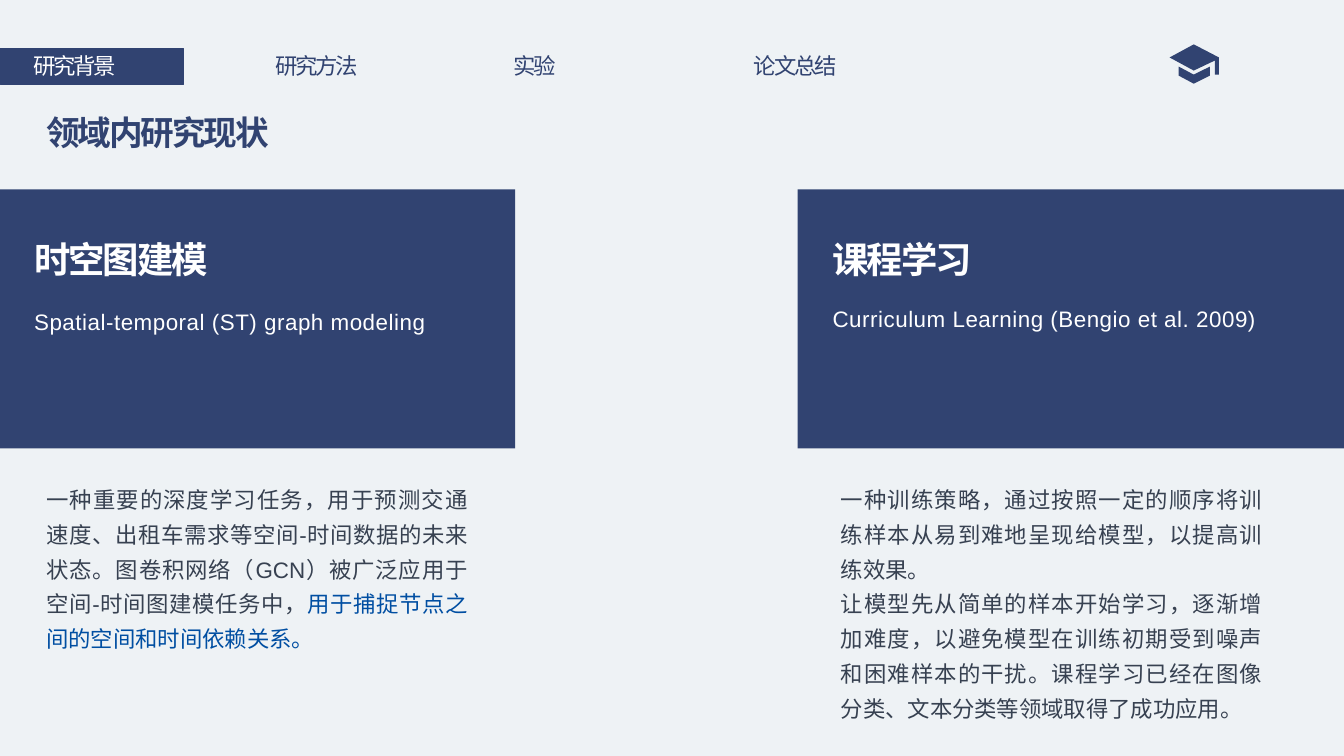
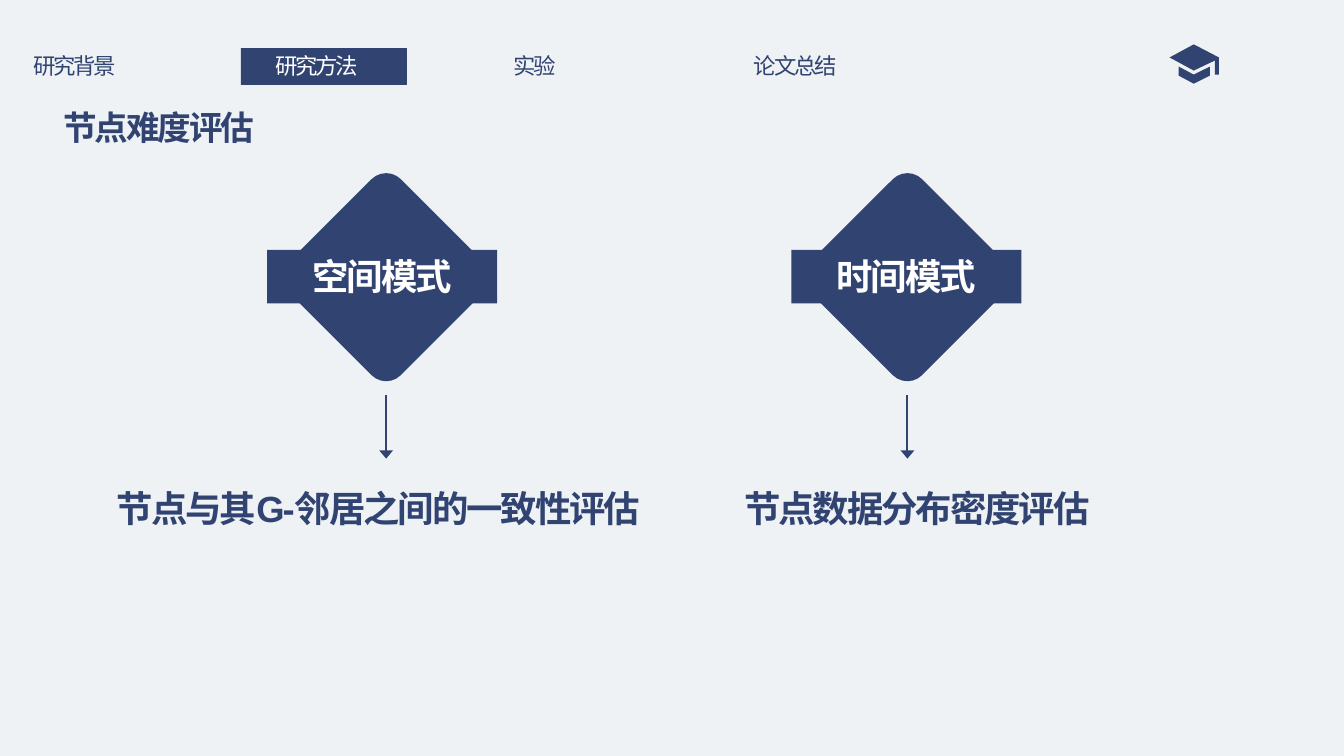
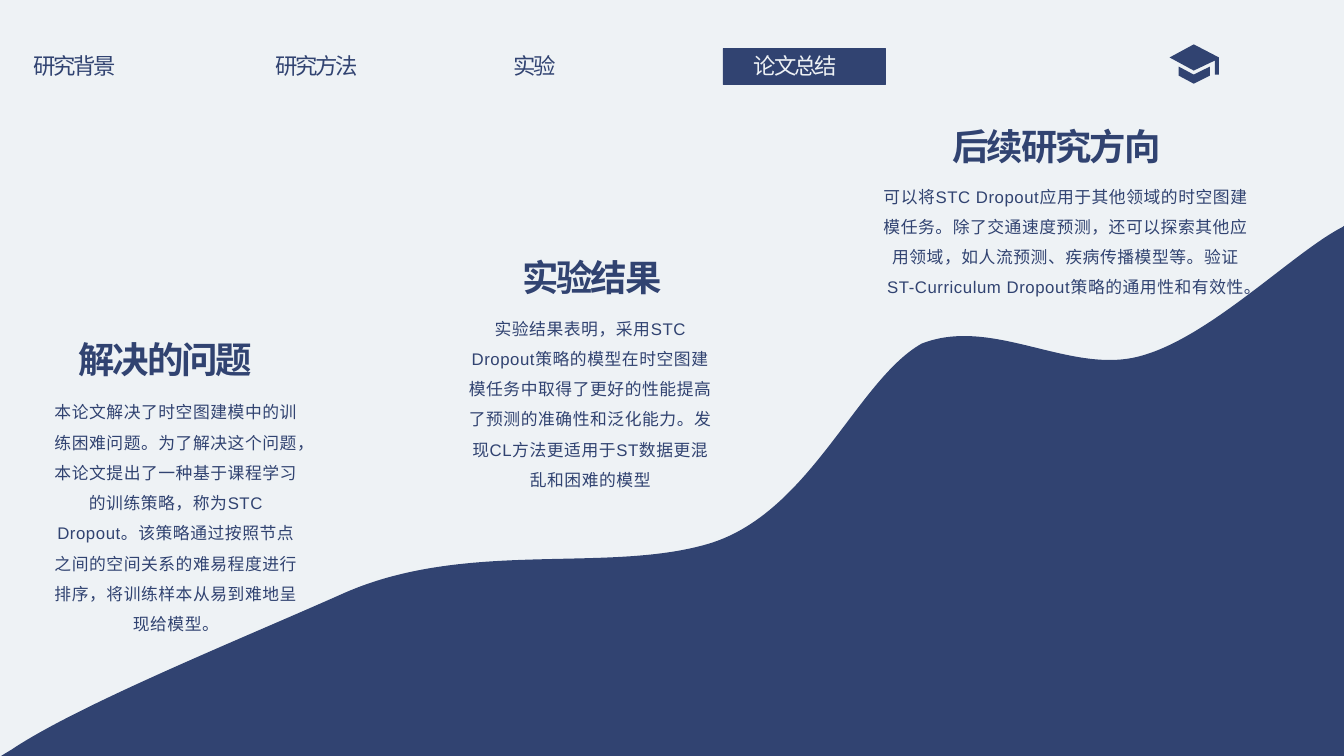
from dataclasses import dataclass, field
from typing import NamedTuple

from lxml.etree import SubElement
from pptx import Presentation
from pptx.dml.color import RGBColor
from pptx.enum.shapes import MSO_CONNECTOR, MSO_SHAPE
from pptx.enum.text import MSO_AUTO_SIZE, PP_ALIGN
from pptx.oxml.ns import qn
from pptx.shapes.autoshape import Shape
from pptx.slide import Slide
from pptx.text.text import TextFrame, _Paragraph
from pptx.util import Inches, Pt

NAVY = "314371"
PALE = "EEF2F5"
WHITE = "FFFFFF"
SLATE = "374151"
BLUE = "004EA2"

Point = tuple[float, float]


class Box(NamedTuple):
    left: float
    top: float
    width: float
    height: float


@dataclass(frozen=True)
class Style:
    font: dict
    para: dict = field(default_factory=dict)
    space: float = 0


@dataclass(frozen=True)
class Tab:
    name: str
    text: float
    left: float
    width: float


@dataclass(frozen=True)
class Panel:
    box: Box
    left: float
    top: float
    head: str
    sub: str
    body: Box
    paras: tuple[str, ...]


@dataclass(frozen=True)
class Mode:
    axis: float
    band: float
    name: str
    goal: str
    box: Box


@dataclass(frozen=True)
class Note:
    head: str
    left: float
    top: float
    body: Box
    text: str


def font(size: float, bold: bool = False, name: str = "Arial") -> dict:
    return {"size": Pt(size), "bold": bold, "name": name}


MENU = Style(font(16), space=-1.5)
TITLE = Style(font(24, True), space=-1.5)
HEAD = Style(font(26, True), space=-1.5)
MID = Style(HEAD.font, {"alignment": PP_ALIGN.CENTER}, -1.5)
SUB = Style(font(16), {"line_spacing": 1.5}, 0.4)
BODY = Style(font(16), {"alignment": PP_ALIGN.JUSTIFY, "line_spacing": 1.3})
LINK = Style(font(16, name="Lato"))
SMALL = Style(font(12), {"alignment": PP_ALIGN.CENTER, "line_spacing": 1.5}, 0.4)
FRAME = {"word_wrap": True, "auto_size": MSO_AUTO_SIZE.SHAPE_TO_FIT_TEXT}

TABS = (
    Tab("研究背景", 0.23, 0, 1.82),
    Tab("研究方法", 2.63, 2.39, 1.64),
    Tab("实验", 4.99, 4.59, 1.63),
    Tab("论文总结", 7.38, 7.17, 1.61),
)

CAP = (
    ((11.69, 0.66), (11.84, 0.74), (12, 0.66), (12, 0.75), (11.84, 0.83), (11.69, 0.75)),
    ((11.84, 0.44), (12.09, 0.57), (12.09, 0.74), (12.05, 0.74), (12.05, 0.6),
     (11.84, 0.7), (11.6, 0.57)),
)

EDGE = ((13.33, 2.24), (13.33, 7.5), (0.01, 7.5), (0.11, 7.44))
HILL = (
    ((0.78, 6.99), (2.39, 6.34), (3.4, 5.89)),
    ((4.61, 5.35), (6, 5.69), (7.01, 5.4)),
    ((8.03, 5.11), (8.49, 3.78), (9.14, 3.41)),
    ((9.85, 3.13), (10.62, 3.73), (11.32, 3.53)),
    ((12.01, 3.34), (12.83, 2.5), (13.32, 2.25)),
)

PANELS = (
    Panel(
        Box(0, 1.88, 5.11, 2.57), 0.24, 2.87,
        "时空图建模", "Spatial-temporal (ST) graph modeling",
        Box(0.36, 4.69, 4.38, 1.82),
        ("一种重要的深度学习任务，用于预测交通速度、出租车需求等空间-时间数据的未来状态。"
         "图卷积网络（GCN）被广泛应用于空间-时间图建模任务中，",),
    ),
    Panel(
        Box(7.91, 1.88, 5.42, 2.57), 8.16, 2.84,
        "课程学习", "Curriculum Learning (Bengio et al. 2009)",
        Box(8.24, 4.69, 4.38, 2.52),
        ("一种训练策略，通过按照一定的顺序将训练样本从易到难地呈现给模型，以提高训练效果。",
         "让模型先从简单的样本开始学习，逐渐增加难度，以避免模型在训练初期受到噪声和困难样本的干扰。"
         "课程学习已经在图像分类、文本分类等领域取得了成功应用。"),
    ),
)

MODES = (
    Mode(3.83, 2.65, "空间模式", "节点与其G-邻居之间的一致性评估",
         Box(0.99, 4.77, 5.53, 0.98)),
    Mode(9, 7.85, "时间模式", "节点数据分布密度评估",
         Box(6.52, 4.77, 5.15, 0.54)),
)

NOTES = (
    Note("解决的问题", 0.24, 3.3, Box(0.42, 3.84, 2.65, 2.19),
         "本论文解决了时空图建模中的训练困难问题。为了解决这个问题，本论文提出了一种基于课程学习的训练策略，"
         "称为STC Dropout。该策略通过按照节点之间的空间关系的难易程度进行排序，将训练样本从易到难地呈现给模型。"),
    Note("实验结果", 4.47, 2.48, Box(4.53, 3.01, 2.65, 1.88),
         "实验结果表明，采用STC Dropout策略的模型在时空图建模任务中取得了更好的性能提高了预测的准确性和泛化能力。"
         "发现CL方法更适用于ST数据更混乱和困难的模型"),
    Note("后续研究方向", 9.08, 1.18, Box(8.63, 1.7, 3.88, 1.28),
         "可以将STC Dropout应用于其他领域的时空图建模任务。除了交通速度预测，还可以探索其他应用领域，"
         "如人流预测、疾病传播模型等。验证ST-Curriculum Dropout策略的通用性和有效性。"),
)


def paint(fill, color: str) -> None:
    fill.solid()
    fill.fore_color.rgb = RGBColor.from_string(color)


def apply(item, values: dict) -> None:
    for key, value in values.items():
        setattr(item, key, value)


def finish(shape: Shape, edge: float = 0) -> Shape:
    shape.shadow.inherit = False
    paint(shape.fill, NAVY)
    if edge:
        paint(shape.line.fill, NAVY)
        shape.line.width = Pt(edge)
    else:
        shape.line.fill.background()
    return shape


def block(slide: Slide, box: Box, kind=MSO_SHAPE.RECTANGLE, edge: float = 0) -> Shape:
    return finish(slide.shapes.add_shape(kind, *map(Inches, box)), edge)


def put(para: _Paragraph, text: str, style: Style, ink: str) -> None:
    run = para.add_run()
    run.text = text
    apply(run.font, style.font)
    paint(run.font.fill, ink)
    if style.space:
        run._r.get_or_add_rPr().set("spc", str(round(style.space * 100)))


def write(slide: Slide, box: Box, style: Style, ink: str, *texts: str) -> TextFrame:
    frame = slide.shapes.add_textbox(*map(Inches, box)).text_frame
    apply(frame, FRAME)
    for index, text in enumerate(texts):
        para = frame.add_paragraph() if index else frame.paragraphs[0]
        apply(para, style.para)
        put(para, text, style, ink)
    return frame


def outline(slide: Slide, *loops: tuple[Point, ...]) -> Shape:
    paths = [[(Inches(x), Inches(y)) for x, y in loop] for loop in loops]
    pen = slide.shapes.build_freeform(*paths[0][0], scale=1.0)
    for index, points in enumerate(paths):
        if index:
            pen.move_to(*points[0])
        pen.add_line_segments(points[1:], close=True)
    return finish(pen.convert_to_shape())


def ridge(slide: Slide) -> None:
    shape = outline(slide, EDGE + tuple(curve[-1] for curve in HILL))
    legs = list(shape._element.iter(qn("a:lnTo")))[len(EDGE) - 1:]
    for leg, curve in zip(legs, HILL):
        leg.tag = qn("a:cubicBezTo")
        for index, (x, y) in enumerate(curve[:2]):
            knot = SubElement(leg, qn("a:pt"))
            knot.set("x", str(Inches(x) - shape.left))
            knot.set("y", str(Inches(y) - shape.top))
            leg.insert(index, knot)


def arrow(slide: Slide, x: float, top: float, base: float) -> None:
    line = slide.shapes.add_connector(
        MSO_CONNECTOR.STRAIGHT, Inches(x), Inches(top), Inches(x), Inches(base))
    paint(line.line.fill, NAVY)
    line.line.width = Pt(1.5)
    SubElement(line.line._get_or_add_ln(), qn("a:tailEnd"), type="triangle", w="lg", len="med")
    SubElement(line._element.spPr, qn("a:effectLst"))


def start(deck, active: int, ink: str = WHITE) -> Slide:
    slide = deck.slides.add_slide(deck.slide_layouts[6])
    now = TABS[active]
    block(slide, Box(now.left, 0.48, now.width, 0.36), edge=0.5)
    for tab in TABS:
        write(slide, Box(tab.text, 0.47, 1.5, 0.37), MENU, ink if tab is now else NAVY, tab.name)
    outline(slide, *CAP)
    return slide


def status(deck) -> None:
    slide = start(deck, 0)
    write(slide, Box(0.36, 1.06, 2.8, 0.5), TITLE, NAVY, "领域内研究现状")
    frames = []
    for panel in PANELS:
        block(slide, panel.box)
        write(slide, Box(panel.left, 2.3, 2.64, 0.54), HEAD, WHITE, panel.head)
        write(slide, Box(panel.left, panel.top, 5.36, 0.45), SUB, WHITE, panel.sub)
        frames.append(write(slide, panel.body, BODY, SLATE, *panel.paras))
    put(frames[0].paragraphs[0], "用于捕捉节点之间的空间和时间依赖关系。", LINK, BLUE)


def method(deck) -> None:
    slide = start(deck, 1)
    write(slide, Box(0.53, 1.01, 2.8, 0.5), TITLE, NAVY, "节点难度评估")
    side = 1.58
    for mode in MODES:
        gem = block(slide, Box(mode.axis - side / 2, 1.96, side, side), MSO_SHAPE.ROUNDED_RECTANGLE)
        gem.adjustments[0] = 0.13
        gem.rotation = 45
        block(slide, Box(mode.band, 2.48, 2.28, 0.53))
        write(slide, Box(mode.band - 0.26, 2.47, 2.8, 0.54), MID, WHITE, mode.name)
        arrow(slide, mode.axis, 3.92, 4.55)
        write(slide, mode.box, MID, NAVY, mode.goal)


def summary(deck) -> None:
    slide = start(deck, 3, PALE)
    ridge(slide)
    for note in NOTES:
        write(slide, Box(note.left, note.top, 2.8, 0.54), MID, NAVY, note.head)
        write(slide, note.body, SMALL, NAVY, note.text)


def ground(deck) -> None:
    sheet = block(deck.slides[0], Box(0, 0, 13.33, 7.5))
    paint(sheet.fill, PALE)
    sheet._element.nvSpPr.cNvPr.set("id", "20")
    deck.slide_master.shapes._spTree.insert(2, sheet._element)


def main() -> None:
    deck = Presentation()
    deck.slide_width = Inches(13.33)
    deck.slide_height = Inches(7.5)
    for build in (status, method, summary, ground):
        build(deck)
    deck.save("out.pptx")


if __name__ == "__main__":
    main()
